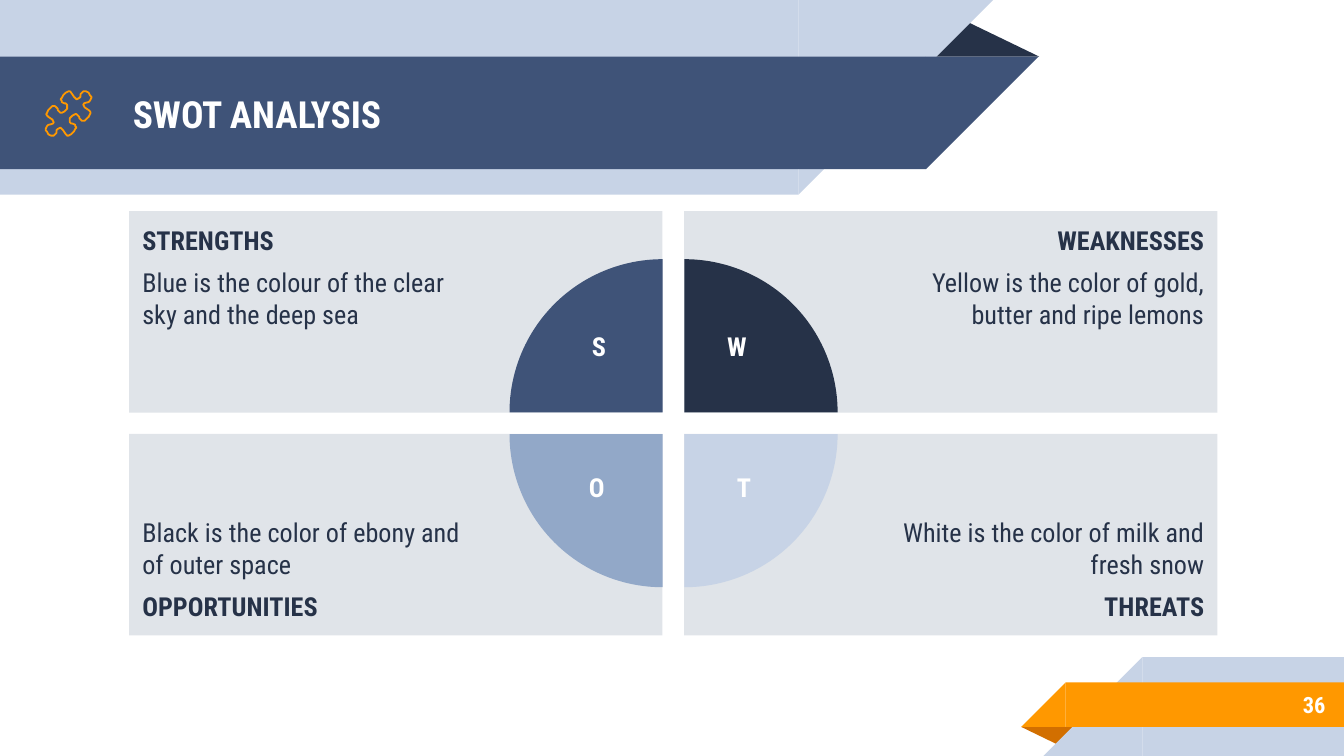
from dataclasses import dataclass

import pptx
import pptx.util
import pptx.dml.color
import pptx.enum.shapes
import pptx.enum.text

Cm = pptx.util.Cm
Pt = pptx.util.Pt
Kind = pptx.enum.shapes.MSO_SHAPE
Align = pptx.enum.text.PP_ALIGN
Anchor = pptx.enum.text.MSO_ANCHOR


@dataclass(frozen=True)
class Theme:
    font: str = "Roboto Condensed"
    navy: str = "263248"
    blue: str = "3F5378"
    steel: str = "92A8C8"
    pale: str = "C7D3E6"
    grey: str = "E0E4E9"
    white: str = "FFFFFF"
    orange: str = "FF9800"
    rust: str = "D26F00"
    head: int = 20
    body: int = 14
    small: int = 12


THEME = Theme()

# Half of the puzzle outline, in hundredths of an inch; a half turn gives the rest.
HALF = [
    (64, 76.5), (66, 76), (67, 75), (68, 73), (68, 72), (67, 71), (66, 69),
    (64, 68), (63, 68), (62, 68), (61, 69), (60, 70), (60, 72), (59, 73),
    (57, 74), (56, 73), (55, 72), (53, 69), (52, 68), (51, 68), (49, 69),
    (47, 71), (46, 73), (45, 74), (46, 75), (46, 76), (48, 77), (49, 77),
    (50, 78), (50, 79), (50, 81), (49, 82), (48, 83), (46, 84), (45, 84),
    (44, 83), (43, 82), (43, 81), (42, 80), (41, 79), (40, 79), (39, 79),
    (37, 81), (36, 82), (35, 84), (34.5, 85), (35, 86), (36, 87), (39, 89),
    (40, 91), (39.5, 92),
]
MID = (51, 84.5)


def tint(code):
    return pptx.dml.color.RGBColor.from_string(code)


def shape(slide, kind, box, fill, turn=0):
    item = slide.shapes.add_shape(kind, *map(Cm, box))
    item.shadow.inherit = False
    item.fill.solid()
    item.fill.fore_color.rgb = tint(fill)
    item.line.fill.background()
    item.rotation = turn
    return item


def band(slide, x, y, wide, high, fill, right):
    """Draw a bar with a slanted end on its right or left side."""
    shape(slide, Kind.RECTANGLE, (x, y, wide, high), fill)
    tip = x + wide if right else x - high
    shape(slide, Kind.RIGHT_TRIANGLE, (tip, y, high, high), fill,
          90 if right else 270)


def fold(slide, box, fill, turn=0):
    item = shape(slide, Kind.ISOSCELES_TRIANGLE, box, fill, turn)
    item.adjustments[0] = 0.32


def setup(frame, anchor=Anchor.TOP, left=0.25, right=0.25, edge=0.25):
    frame.word_wrap = True
    frame.auto_size = pptx.enum.text.MSO_AUTO_SIZE.NONE
    frame.vertical_anchor = anchor
    frame.margin_left, frame.margin_right = Cm(left), Cm(right)
    frame.margin_top = frame.margin_bottom = Cm(edge)


def write(frame, text, size=THEME.body, color=THEME.white, bold=True,
          align=Align.LEFT, before=0):
    """Add a paragraph, using the first one while the frame is empty."""
    para = frame.add_paragraph() if frame.text else frame.paragraphs[0]
    para.alignment = align
    para.space_before = Pt(before)
    run = para.add_run()
    run.text = text
    run.font.name = THEME.font
    run.font.size = Pt(size)
    run.font.bold = bold
    run.font.color.rgb = tint(color)


def label(slide, text, box, edge=0.13, anchor=Anchor.TOP, **style):
    frame = slide.shapes.add_textbox(*map(Cm, box)).text_frame
    setup(frame, anchor, edge=edge)
    write(frame, text, **style)


def title(slide, text):
    item = slide.shapes.title
    item.left, item.top, item.width, item.height = map(
        Cm, (2.26, 1.09, 14.6, 2.13))
    setup(item.text_frame, Anchor.MIDDLE)
    write(item.text_frame, text, size=THEME.head)
    item.element.getparent().append(item.element)  # in front of the bands


def panel(slide, col, row, name, note):
    box = (2.44 + col * 10.49, 3.99 + row * 4.21, 10.08, 3.81)
    frame = shape(slide, Kind.RECTANGLE, box, THEME.grey).text_frame
    setup(frame, Anchor.BOTTOM if row else Anchor.TOP,
          left=3.81 if col else 0.25, right=0.25 if col else 3.81)
    lines = [(name, True), (note, False)]
    for rank, (text, bold) in enumerate(lines[::-1] if row else lines):
        write(frame, text, color=THEME.navy, bold=bold, before=6 * rank,
              align=Align.RIGHT if col else Align.LEFT)


def wedge(slide, col, row, fill, turn):
    box = (9.63 + col * 0.41, 4.9 + row * 0.41, 5.79, 5.79)
    item = shape(slide, Kind.PIE, box, fill, turn)
    item.adjustments[0], item.adjustments[1] = 108, 162


def puzzle(slide):
    turned = [(2 * MID[0] - x, 2 * MID[1] - y) for x, y in HALF]
    dots = [(Cm(x * 0.0254), Cm(y * 0.0254)) for x, y in HALF + turned]
    path = slide.shapes.build_freeform(*dots[0])
    path.add_line_segments(dots[1:], close=True)
    item = path.convert_to_shape()
    item.shadow.inherit = False
    item.fill.background()
    item.line.color.rgb = tint(THEME.orange)
    item.line.width = Pt(0.96)


def main():
    deck = pptx.Presentation()
    deck.slide_width, deck.slide_height = Cm(25.4), Cm(14.29)
    slide = deck.slides.add_slide(deck.slide_layouts[5])

    fold(slide, (17.48, 0.36, 2.16, 0.71), THEME.navy)
    band(slide, 0, 0, 15.09, 3.68, THEME.pale, right=True)
    band(slide, 0, 1.07, 17.5, 2.13, THEME.blue, right=True)
    fold(slide, (19.3, 13.74, 1.09, 0.36), THEME.rust, 180)
    band(slide, 21.59, 12.42, 3.81, 1.87, THEME.pale, right=False)
    band(slide, 20.14, 12.9, 5.26, 0.84, THEME.orange, right=False)
    title(slide, "SWOT ANALYSIS")
    label(slide, "36", (21.16, 12.88, 4.14, 0.89), edge=0.25,
          anchor=Anchor.MIDDLE, size=THEME.small, align=Align.RIGHT)

    parts = [
        (0, 0, "STRENGTHS",
         "Blue is the colour of the clear sky and the deep sea"),
        (1, 0, "WEAKNESSES",
         "Yellow is the color of gold, butter and ripe lemons"),
        (0, 1, "OPPORTUNITIES",
         "Black is the color of ebony and of outer space"),
        (1, 1, "THREATS", "White is the color of milk and fresh snow"),
    ]
    for part in parts:
        panel(slide, *part)

    wedges = [(0, 0, THEME.blue), (1, 0, THEME.navy),
              (1, 1, THEME.pale), (0, 1, THEME.steel)]
    for rank, (col, row, fill) in enumerate(wedges):
        wedge(slide, col, row, fill, 90 * rank)

    for text, x, y in [("S", 10.8, 6.11), ("W", 13.41, 6.11),
                       ("O", 10.76, 8.78), ("T", 13.54, 8.78)]:
        label(slide, text, (x, y, 1.04, 1.04), align=Align.CENTER)
    puzzle(slide)
    deck.save("out.pptx")


if __name__ == "__main__":
    main()
